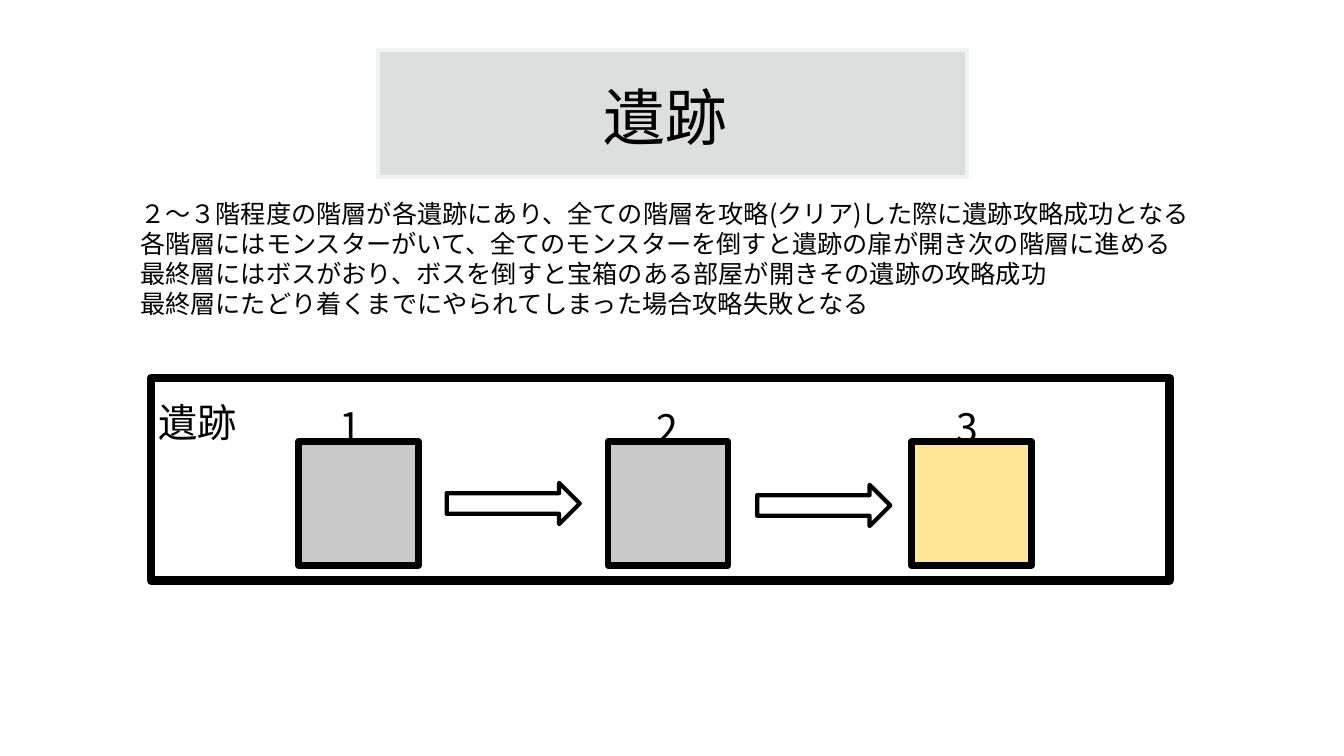
from lxml.etree import SubElement as Sub
from pptx import Presentation as Deck
from pptx.dml.color import RGBColor as Rgb
from pptx.enum.shapes import MSO_SHAPE as Kind
from pptx.enum.text import PP_ALIGN as Align
from pptx.oxml.ns import qn
from pptx.util import Inches, Pt

HUES = {
    "ink": "000000", "white": "FFFFFF", "panel": "DDDEDE",
    "rim": "F1F2F2", "stone": "C9C9C9", "gold": "FFE699",
}


class Page:
    """Holds the style and the current slide."""

    face = "Noto Sans CJK JP"

    def __init__(self, slide):
        self.slide = slide

    def hue(self, name):
        return Rgb.from_string(HUES[name])

    def shape(self, kind, box, fill, width, line="ink"):
        item = self.slide.shapes.add_shape(kind, *map(Inches, box))
        item.shadow.inherit = False
        if fill:
            item.fill.solid()
            item.fill.fore_color.rgb = self.hue(fill)
        else:
            item.fill.background()
        item.line.color.rgb = self.hue(line)
        item.line.width = Pt(width)

    def text(self, box, lines, size, pitch, align=Align.LEFT, inset=True):
        frame = self.slide.shapes.add_textbox(*map(Inches, box)).text_frame
        frame.word_wrap = True
        if not inset:
            frame.margin_left = frame.margin_right = 0
            frame.margin_top = frame.margin_bottom = 0
        frame.text = "\n".join(lines)
        for para in frame.paragraphs:
            para.alignment = align
            para.line_spacing = Pt(pitch)
            font = para.font
            font.size = Pt(size)
            font.color.rgb = self.hue("ink")
            font.name = self.face
            # East Asian glyphs need the face named separately
            props = para._p.pPr.find(qn("a:defRPr"))
            Sub(props, qn("a:ea")).set("typeface", self.face)

    def label(self, box, words, size):
        self.text(box, [words], size, 61.7, Align.CENTER, inset=False)


def main():
    deck = Deck()
    deck.slide_width, deck.slide_height = Inches(13.33), Inches(7.5)
    page = Page(deck.slides.add_slide(deck.slide_layouts[6]))

    # Title
    page.shape(Kind.RECTANGLE, (3.75, 0.5, 5.84, 1.26), "panel", 3, "rim")
    page.label((3.31, 0.66, 6.71, 0.76), "遺跡 ", 44)

    # Rules
    page.text((1.29, 1.92, 10.68, 1.31), [
        "２～３階程度の階層が各遺跡にあり、全ての階層を攻略(クリア)した際に遺跡攻略成功となる",
        "各階層にはモンスターがいて、全てのモンスターを倒すと遺跡の扉が開き次の階層に進める",
        "最終層にはボスがおり、ボスを倒すと宝箱のある部屋が開きその遺跡の攻略成功",
        "最終層にたどり着くまでにやられてしまった場合攻略失敗となる",
    ], 18, 21.5)

    # Floors
    for left, fill in ((2.96, "stone"), (6.03, "stone"), (9.04, "gold")):
        page.shape(Kind.RECTANGLE, (left, 4.38, 1.19, 1.23), fill, 4.5)
    for left, top in ((4.43, 4.79), (7.51, 4.81)):
        page.shape(Kind.RIGHT_ARROW, (left, top, 1.32, 0.41), "white", 3)

    # Frame of the ruin
    page.shape(Kind.RECTANGLE, (1.5, 3.75, 10.1, 2.01), None, 6)

    # Labels
    for left, top, words in ((1.09, 3.56, "遺跡 "), (2.61, 3.6, "1 "),
                             (5.75, 3.62, "2 "), (8.73, 3.61, "3 ")):
        page.label((left, top, 1.82, 0.72), words, 28)

    deck.save("out.pptx")


if __name__ == "__main__":
    main()
